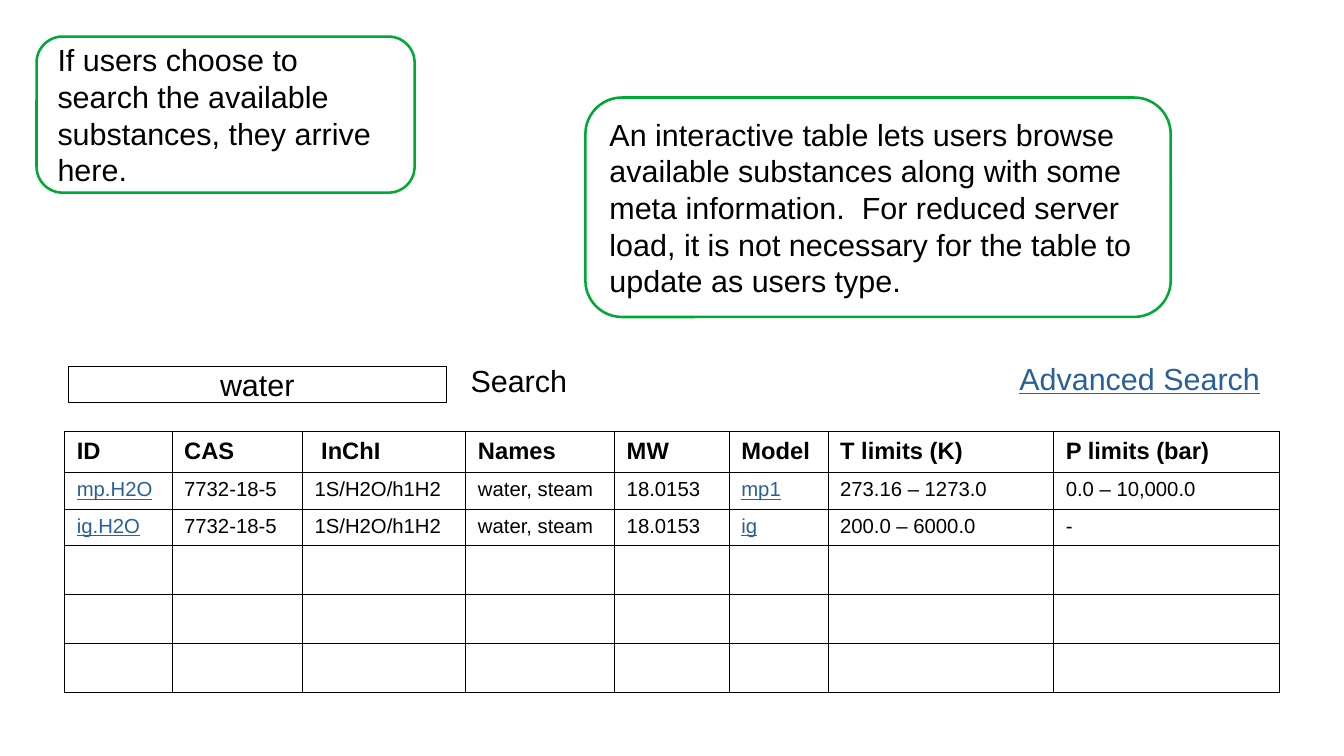
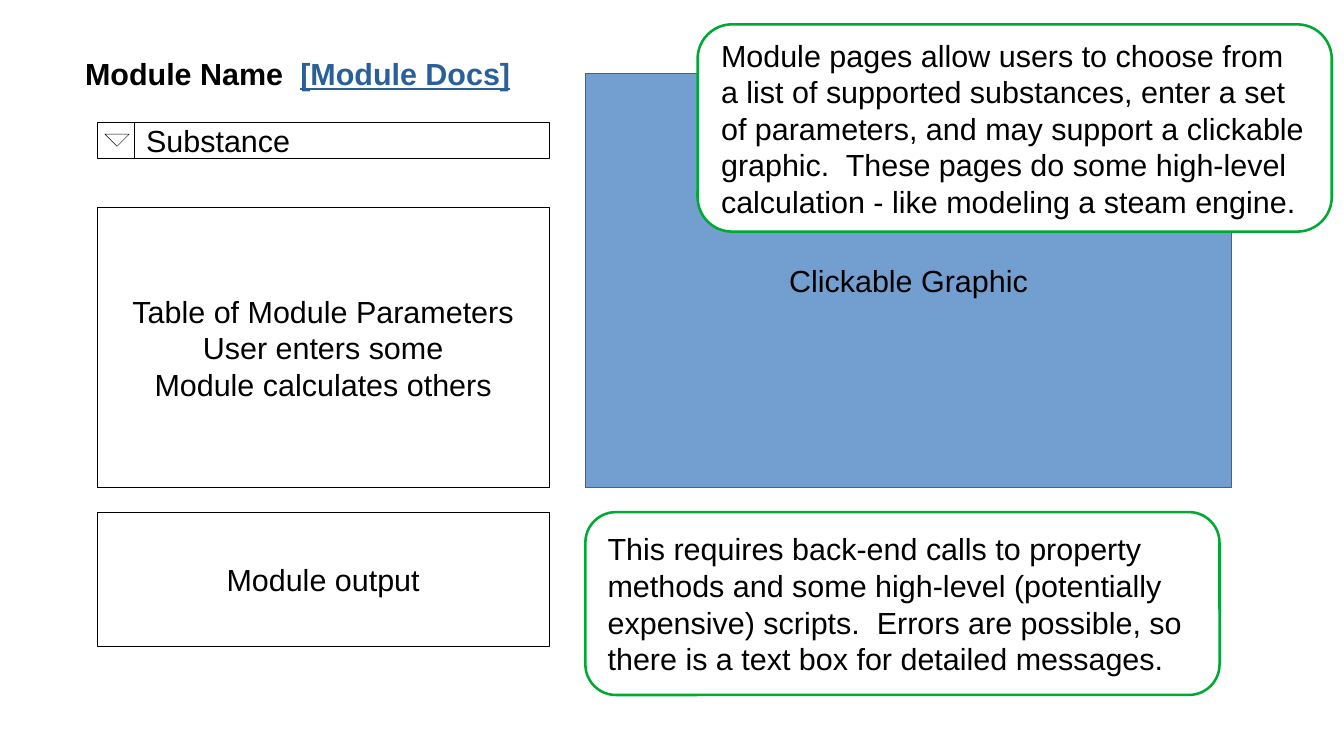
from lxml import etree
from pptx import Presentation
from pptx.dml.color import RGBColor
from pptx.enum.shapes import MSO_SHAPE
from pptx.enum.text import MSO_ANCHOR, PP_ALIGN
from pptx.oxml.ns import qn
from pptx.util import Pt

RECT, ROUNDED = MSO_SHAPE.RECTANGLE, MSO_SHAPE.ROUNDED_RECTANGLE
TRIANGLE = MSO_SHAPE.ISOSCELES_TRIANGLE
LEFT, CENTER = PP_ALIGN.LEFT, PP_ALIGN.CENTER
TOP, MIDDLE = MSO_ANCHOR.TOP, MSO_ANCHOR.MIDDLE

PX = 9144  # 100 px to the inch
FONT = "Arial"
BLACK, WHITE, LINK, GREEN = "000000", "FFFFFF", "2A6099", "00A933"
BLUE, DARK_BLUE = "729FCF", "3465A4"
HAIRLINE, CALLOUT_LINE = 0.25, 1.5


def style_run(run, size=18, bold=False, link=False):
    run.font.name = FONT
    run.font.size = Pt(size)
    run.font.bold = bold
    run.font.underline = link
    run.font.color.rgb = RGBColor.from_string(LINK if link else BLACK)


def add_box(slide, at, text="", kind=RECT, fill=WHITE, line=BLACK, align=CENTER, **style):
    """Add a shape, or a plain text box when kind is None."""
    left, top, width, height = (length * PX for length in at)
    if kind is None:
        box = slide.shapes.add_textbox(left, top, width, height)
    else:
        box = slide.shapes.add_shape(kind, left, top, width, height)
        box.shadow.inherit = False
        if fill:
            box.fill.solid()
            box.fill.fore_color.rgb = RGBColor.from_string(fill)
        else:
            box.fill.background()
        box.line.color.rgb = RGBColor.from_string(line)
        box.line.width = Pt(CALLOUT_LINE if kind == ROUNDED else HAIRLINE)
    frame = box.text_frame
    inset_x, inset_y = (11, 6) if kind == ROUNDED else (10, 5)
    frame.margin_left = frame.margin_right = inset_x * PX
    frame.margin_top = frame.margin_bottom = inset_y * PX
    frame.word_wrap = True
    frame.vertical_anchor = TOP if kind is None else MIDDLE
    if text:
        frame.text = text
    for paragraph in frame.paragraphs:
        paragraph.alignment = align
        for run in paragraph.runs:
            style_run(run, **style)
    return box


prs = Presentation()
prs.slide_width, prs.slide_height = 1102 * PX, 620 * PX
blank = prs.slide_layouts[6]
callout = {"kind": ROUNDED, "line": GREEN, "align": LEFT}
label = {"kind": None, "align": LEFT}

# Slide 1: substance search
search = prs.slides.add_slide(blank)
add_box(search, (56, 300, 310, 30), "water")
add_box(search, (376, 292, 240, 38), "Search", **label)
add_box(search, (826, 290, 220, 40), "Advanced Search", link=True, **label)

# Substance table
substances = [
    ["ID", "CAS", " InChI", "Names", "MW", "Model", "T limits (K)", "P limits (bar)"],
    ["mp.H2O", "7732-18-5", "1S/H2O/h1H2", "water, steam", "18.0153", "mp1",
     "273.16 – 1273.0", "0.0 – 10,000.0"],
    ["ig.H2O", "7732-18-5", "1S/H2O/h1H2", "water, steam", "18.0153", "ig",
     "200.0 – 6000.0", "-"],
]
link_columns = (0, 5)
column_widths = [88, 107, 134, 122, 94, 81, 185, 185]
row_heights = [32, 29, 29, 38, 38, 38]
table = search.shapes.add_table(
    len(row_heights), len(column_widths), 53 * PX, 354 * PX,
    sum(column_widths) * PX, sum(row_heights) * PX).table
table.first_row = table.horz_banding = False
for column, width in zip(table.columns, column_widths):
    column.width = width * PX
for row, height in zip(table.rows, row_heights):
    row.height = height * PX

for r in range(len(row_heights)):
    for c in range(len(column_widths)):
        cell = table.cell(r, c)
        cell.fill.background()
        cell.margin_left = cell.margin_right = 10 * PX
        cell.margin_top = cell.margin_bottom = 5 * PX
        if r < len(substances):
            cell.text_frame.text = substances[r][c]
            style_run(cell.text_frame.paragraphs[0].runs[0], size=12 if r else 14,
                      bold=r == 0, link=r > 0 and c in link_columns)
        # Borders come before the fill in the cell properties
        properties = cell._tc.get_or_add_tcPr()
        for i, side in enumerate(("a:lnL", "a:lnR", "a:lnT", "a:lnB")):
            border = etree.Element(qn(side), w=str(Pt(0.57)))
            solid = etree.SubElement(border, qn("a:solidFill"))
            etree.SubElement(solid, qn("a:srgbClr"), val=BLACK)
            properties.insert(i, border)

# Search callouts
add_box(search, (480, 80, 480, 180),
        "An interactive table lets users browse available substances along with some "
        "meta information.  For reduced server load, it is not necessary for the table "
        "to update as users type.", fill=None, **callout)
add_box(search, (30, 30, 310, 128),
        "If users choose to search the available substances, they arrive here.",
        fill=None, **callout)

# Slide 2: module page
module = prs.slides.add_slide(blank)
heading = add_box(module, (60, 40, 400, 38), "Module Name  ", bold=True, **label)
docs_link = heading.text_frame.paragraphs[0].add_run()
docs_link.text = "[Module Docs]"
style_run(docs_link, bold=True, link=True)

# Substance drop-down
add_box(module, (110, 100, 340, 30), "Substance", align=LEFT)
add_box(module, (80, 100, 30, 30))
arrow = add_box(module, (86, 110, 20, 10), kind=TRIANGLE)
arrow.rotation = 180

# Panels
add_box(module, (80, 170, 370, 230),
        "Table of Module Parameters\nUser enters some\nModule calculates others")
add_box(module, (480, 60, 530, 340), "Clickable Graphic", fill=BLUE, line=DARK_BLUE)
add_box(module, (80, 420, 370, 110), "Module output")

# Module callouts
add_box(module, (572, 20, 520, 170),
        "Module pages allow users to choose from a list of supported substances, enter "
        "a set of parameters, and may support a clickable graphic.  These pages do some "
        "high-level calculation - like modeling a steam engine.", **callout)
add_box(module, (480, 420, 520, 150),
        "This requires back-end calls to property methods and some high-level "
        "(potentially expensive) scripts.  Errors are possible, so there is a text box "
        "for detailed messages.", **callout)

prs.save("out.pptx")
